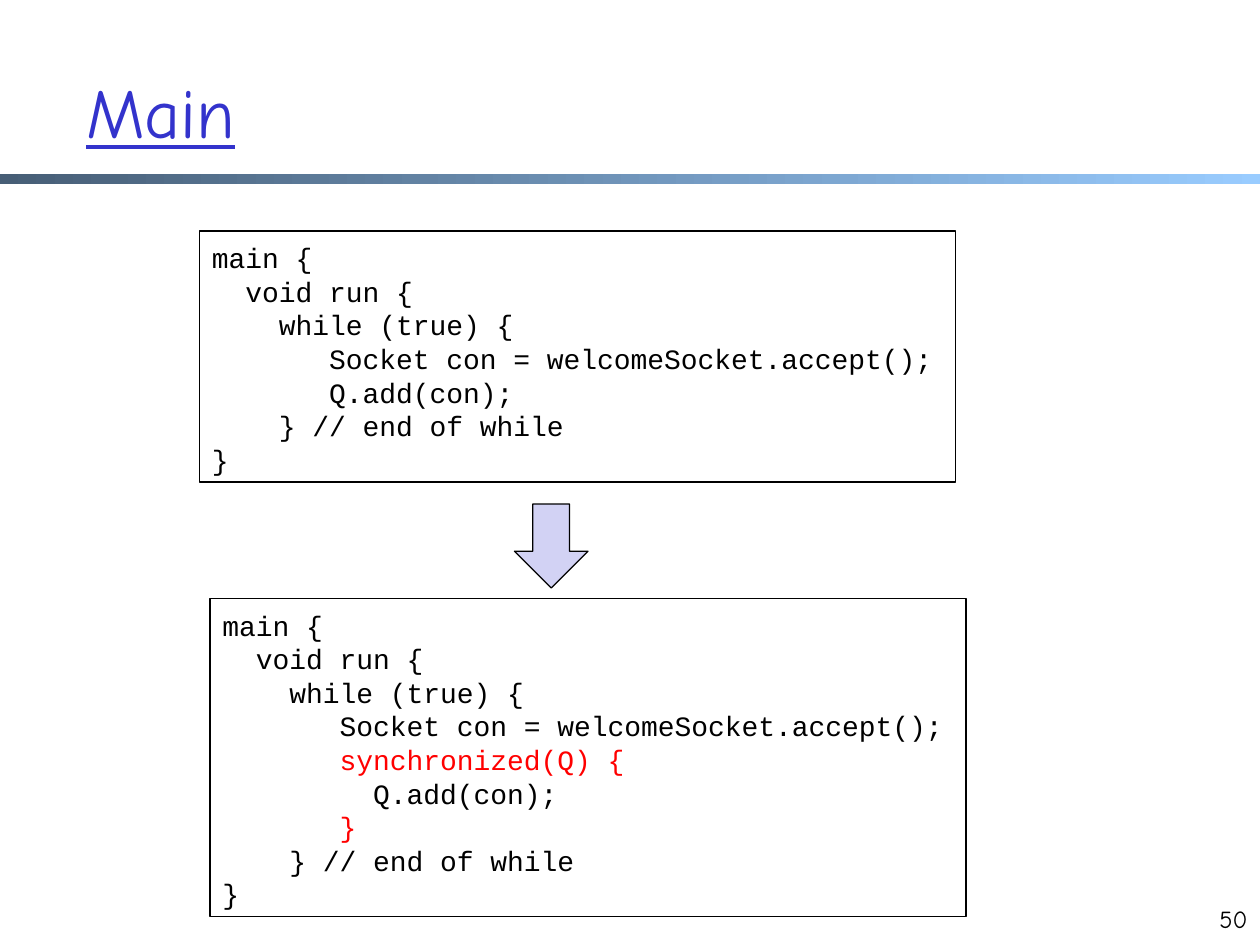
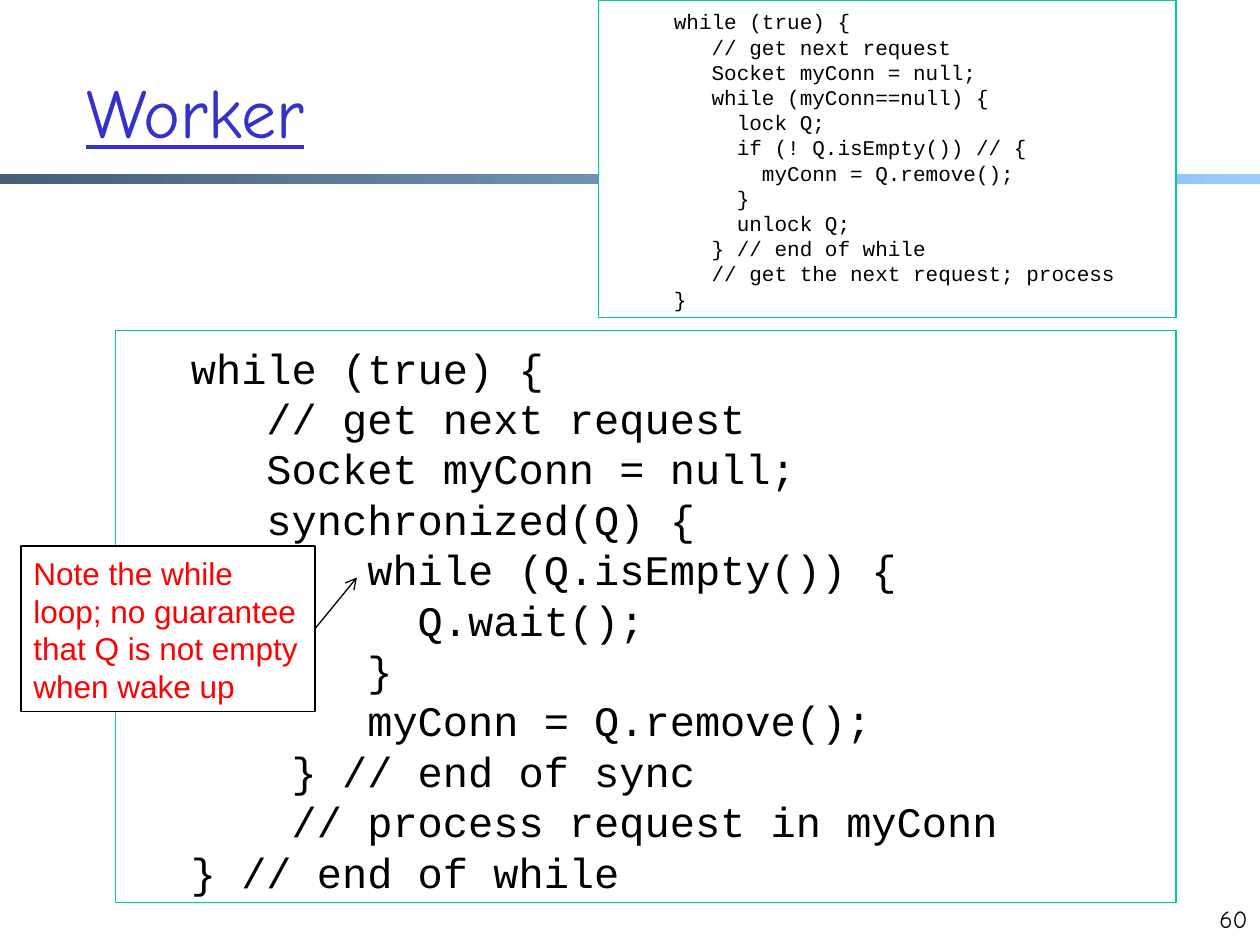
from pptx import Presentation
from pptx.util import Pt
from pptx.dml.color import RGBColor
from pptx.enum.shapes import MSO_SHAPE as Geo, MSO_CONNECTOR as Link
from pptx.enum.text import PP_ALIGN as Align, MSO_ANCHOR as Mid, MSO_AUTO_SIZE as Auto
from pptx.oxml.ns import qn
from lxml.etree import SubElement as Sub

# Content: (text box) = lines, left, top, width, type size, plus options
LOOP = """main {
  void run {
    while (true) {
       Socket con = welcomeSocket.accept();"""
TAIL = """    } // end of while
}"""
PLAIN = f"{LOOP}\n       Q.add(con);\n{TAIL}"
SYNC = f"""{LOOP}
       synchronized(Q) {{
         Q.add(con);
       }}
{TAIL}"""
WAIT = """while (true) {
   // get next request
   Socket myConn = null;
   synchronized(Q) {
       while (Q.isEmpty()) {
         Q.wait();
       }
       myConn = Q.remove();
    } // end of sync
    // process request in myConn
} // end of while"""
LOCK = """while (true) {
   // get next request
   Socket myConn = null;
   while (myConn==null) {
     lock Q;
     if (! Q.isEmpty()) // {
       myConn = Q.remove();
     }
     unlock Q;
   } // end of while
   // get the next request; process
}"""
NOTE = """Note the while
loop; no guarantee
that Q is not empty
when wake up"""

TEAL = dict(edge="teal", indent=36)
SLIDES = [
    dict(title="Main", page="50", boxes=[
        (SYNC, 120, 342, 432, 16, dict(red={4, 6})),
        (PLAIN, 114, 132, 432, 16, {}),
    ], down=(294, 288, 42, 48)),
    dict(title="Worker", page="60", boxes=[
        (WAIT, 66, 189, 606, 24, TEAL),
        (LOCK, 342, 0, 330, 12, dict(TEAL, fill="white")),
        (NOTE, 12, 312, 168, 18, dict(fill="white", red=set(range(4)),
                                      face="note", lift=0.05)),
    ], arrow=(180, 359.25, 204, 330)),
]

# Theme
THEME = dict(
    color={name: RGBColor.from_string(code) for name, code in dict(
        black="000000", white="FFFFFF", red="FF0000", blue="3333CC",
        teal="00CC99", lilac="D2D2F4", dark="475E76", sky="99CCFF").items()},
    face=dict(head="Comic Neue", code="Courier New", note="Arial"),
    size=dict(title=40, page=14), line=0.75, lead=1.2, pad=3.6)
COLOR, FACE, SIZE, PAD = (THEME[k] for k in ("color", "face", "size", "pad"))


# Helpers
def put(item, **vals):
    for name, val in vals.items():
        setattr(item, name, val)


def style(part, size, color, face, **more):
    put(part.font, size=Pt(size), name=FACE[face], **more)
    part.font.color.rgb = COLOR[color]


def shape(slide, kind, at, fill=None, edge=None):
    item = slide.shapes.add_shape(kind, *map(Pt, at))
    item.shadow.inherit = False
    if fill:
        item.fill.solid()
        item.fill.fore_color.rgb = COLOR[fill]
    else:
        item.fill.background()
    if edge:
        ink(item.line, edge)
    else:
        item.line.fill.background()
    return item


def ink(line, edge):
    line.color.rgb = COLOR[edge]
    line.width = Pt(THEME["line"])


def box(slide, text, left, top, width, size, fill=None, edge="black",
        red=(), face="code", lift=0.12, indent=0):
    lines = text.split("\n")
    lead = THEME["lead"] * size
    high = len(lines) * lead + lift * size + 2 * PAD
    frame = shape(slide, Geo.RECTANGLE, (left, top, width, high), fill, edge).text_frame
    put(frame, word_wrap=True, vertical_anchor=Mid.TOP,
        margin_top=Pt(PAD + lift * size), margin_bottom=Pt(PAD))
    frame.text = text
    for num, para in enumerate(frame.paragraphs):
        put(para, alignment=Align.LEFT, line_spacing=Pt(lead))
        if indent:
            para._p.get_or_add_pPr().set("marL", str(Pt(indent)))
        style(para.runs[0], size, "red" if num in red else "black", face)


def arrow(slide, ends):
    link = slide.shapes.add_connector(Link.STRAIGHT, *map(Pt, ends))
    ink(link.line, "black")
    Sub(link.line._get_or_add_ln(), qn("a:tailEnd"), type="arrow")
    Sub(link._element.spPr, qn("a:effectLst"))


# Shared parts: title, band, page number
def base(deck, title, page):
    slide = deck.slides.add_slide(deck.slide_layouts[5])
    head = slide.shapes.title
    put(head, left=Pt(42), top=Pt(18), width=Pt(612), height=Pt(90))
    head.text_frame.text = title
    put(head.text_frame, vertical_anchor=Mid.MIDDLE, auto_size=Auto.NONE)
    para = head.text_frame.paragraphs[0]
    para.alignment = Align.LEFT
    style(para.runs[0], SIZE["title"], "blue", "head", underline=True)

    band = shape(slide, Geo.RECTANGLE, (0, 99.5, 720, 5.5))
    band.fill.gradient()
    band.fill.gradient_angle = 0
    for stop, name in zip(band.fill.gradient_stops, ("dark", "sky")):
        stop.color.rgb = COLOR[name]

    foot = slide.shapes.add_textbox(*map(Pt, (684, 513, 36, 27))).text_frame
    foot.word_wrap = True
    foot.text = page
    foot.paragraphs[0].alignment = Align.RIGHT
    style(foot.paragraphs[0].runs[0], SIZE["page"], "black", "head")
    return slide


def main():
    deck = Presentation()
    put(deck, slide_width=Pt(720), slide_height=Pt(540))
    for data in SLIDES:
        slide = base(deck, data["title"], data["page"])
        for *spot, opts in data["boxes"]:
            box(slide, *spot, **opts)
        if "down" in data:
            shape(slide, Geo.DOWN_ARROW, data["down"], "lilac", "black")
        if "arrow" in data:
            arrow(slide, data["arrow"])
    deck.save("out.pptx")


if __name__ == "__main__":
    main()
